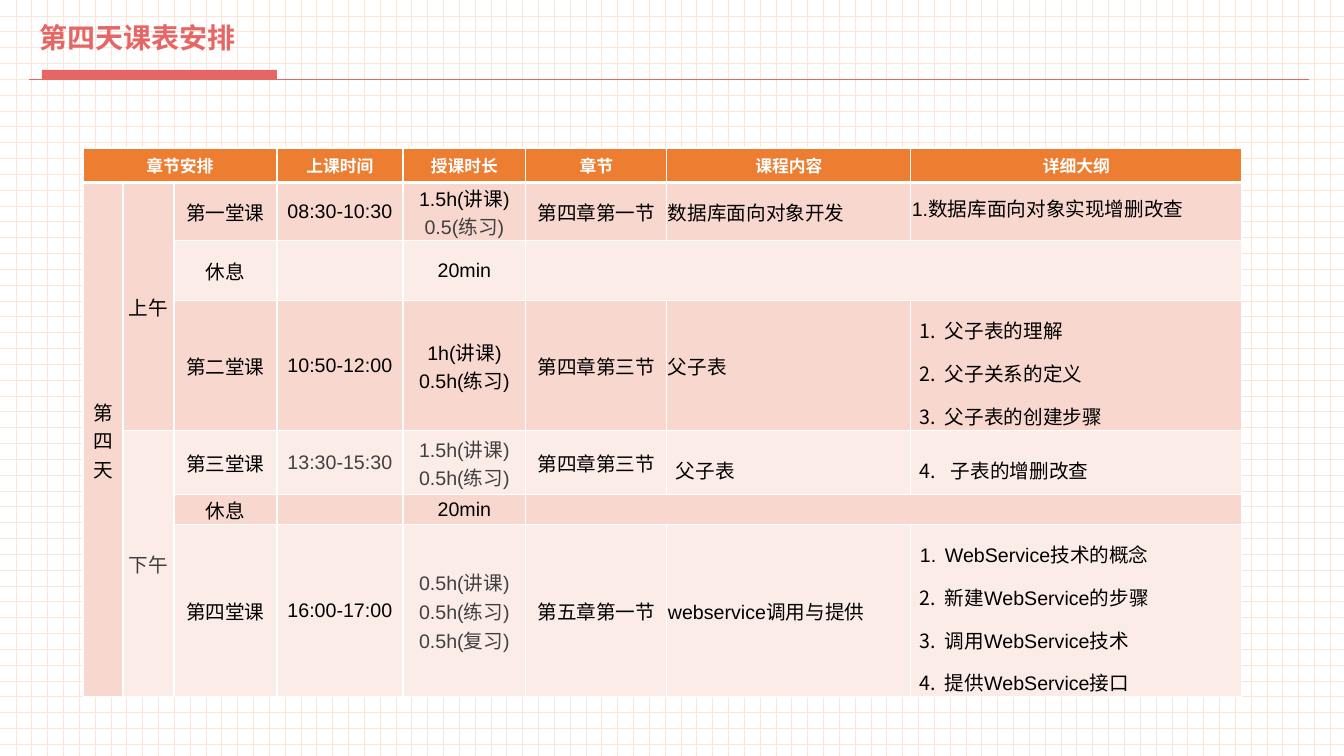
"""Build the day-four timetable slide."""
from lxml.etree import SubElement
from pptx import Presentation
from pptx.dml.color import RGBColor
from pptx.enum.dml import MSO_PATTERN
from pptx.enum.shapes import MSO_CONNECTOR, MSO_SHAPE
from pptx.enum.text import MSO_ANCHOR, PP_ALIGN
from pptx.oxml import parse_xml
from pptx.oxml.ns import nsdecls, qn
from pptx.util import Pt

PX = 914400 / 100.8
THEME = {
    "accent": RGBColor.from_string("E66666"),
    "grid": RGBColor.from_string("FBE5D6"),
    "white": RGBColor.from_string("FFFFFF"),
    "header": RGBColor.from_string("ED7D31"),
    "bands": [RGBColor.from_string("FCECE8"), RGBColor.from_string("F8D7CE")],
    "ink": RGBColor.from_string("000000"),
    "muted": RGBColor.from_string("404040"),
    "latin": "Arial",
    "cjk": "Noto Sans CJK SC",
    "title_size": Pt(20),
    "header_size": Pt(12),
    "body_size": Pt(14),
}


def px(*lengths):
    """Turn pixel lengths into EMU."""
    return [round(length * PX) for length in lengths]


def write(paragraph, text, **font_format):
    """Add a run in the given font format with the CJK typeface."""
    run = paragraph.add_run()
    run.text = text
    for attribute, value in font_format.items():
        if attribute == "color":
            run.font.color.rgb = value
        else:
            setattr(run.font, attribute, value)
    SubElement(run.font._element, qn("a:ea"), typeface=THEME["cjk"])


deck = Presentation()
deck.slide_width, deck.slide_height = px(1344, 756)
slide = deck.slides.add_slide(deck.slide_layouts[5])
backdrop = slide.background.fill
backdrop.patterned()
backdrop.pattern = MSO_PATTERN.DOTTED_GRID
backdrop.fore_color.rgb = THEME["grid"]
backdrop.back_color.rgb = THEME["white"]

rule = slide.shapes.add_connector(MSO_CONNECTOR.STRAIGHT, *px(29, 79, 1309, 79))
rule.line.color.rgb = THEME["accent"]
rule.line.width = Pt(0.5)
SubElement(rule._element.spPr, qn("a:effectLst"))

underline = slide.shapes.add_shape(MSO_SHAPE.RECTANGLE, *px(42, 70, 235, 10))
underline.shadow.inherit = False
underline.fill.solid()
underline.fill.fore_color.rgb = THEME["accent"]
underline.line.fill.background()

title = slide.shapes.title
title.left, title.top, title.width, title.height = px(29, 19, 1058, 58)
title.text_frame.vertical_anchor = MSO_ANCHOR.TOP
title.text_frame.word_wrap = True
heading = title.text_frame.paragraphs[0]
heading.alignment = PP_ALIGN.LEFT
heading.line_spacing = 0.9
write(heading, "第四天课表安排", name=THEME["cjk"], size=THEME["title_size"],
      bold=True, color=THEME["accent"])

COLUMNS = [40, 51, 103, 126, 123, 141, 244, 331]
ROWS = [34, 58, 60, 130, 64, 29, 172]
CONTENT, OUTLINE = 6, 7
TIMETABLE = [
    ["章节安排", "", "", "上课时间", "授课时长", "章节", "课程内容", "详细大纲"],
    ["第四天", "上午", "第一堂课", "08:30-10:30", "1.5h(讲课)\n0.5(练习)",
     "第四章第一节", "数据库面向对象开发", "1.数据库面向对象实现增删改查"],
    ["", "", "休息", "", "20min", "", "", ""],
    ["", "", "第二堂课", "10:50-12:00", "1h(讲课)\n0.5h(练习)",
     "第四章第三节", "父子表", "父子表的理解\n父子关系的定义\n父子表的创建步骤"],
    ["", "下午", "第三堂课", "13:30-15:30", "1.5h(讲课)\n0.5h(练习)",
     "第四章第三节", "父子表", "子表的增删改查"],
    ["", "", "休息", "", "20min", "", "", ""],
    ["", "", "第四堂课", "16:00-17:00", "0.5h(讲课)\n0.5h(练习)\n0.5h(复习)",
     "第五章第一节", "webservice调用与提供",
     "WebService技术的概念\n新建WebService的步骤\n调用WebService技术\n提供WebService接口"],
]
MERGES = [(0, 0, 0, 2), (1, 0, 6, 0), (1, 1, 3, 1), (4, 1, 6, 1),
          (2, 5, 2, 7), (5, 5, 5, 7)]
MUTED = {(1, 4, 1), (4, 1, 0), (4, 3, 0), (4, 4, 0), (4, 4, 1),
         (6, 4, 0), (6, 4, 1), (6, 4, 2)}
NUMBERED = {3: (33, -25, 1), 4: (39, -31, 4), 6: (33, -25, 1)}

timetable = slide.shapes.add_table(
    len(ROWS), len(COLUMNS), *px(83, 148, sum(COLUMNS), sum(ROWS))).table
for column, width in zip(timetable.columns, px(*COLUMNS)):
    column.width = width
for row, height in zip(timetable.rows, px(*ROWS)):
    row.height = height
for top, left, bottom, right in MERGES:
    timetable.cell(top, left).merge(timetable.cell(bottom, right))

for r, entries in enumerate(TIMETABLE):
    for c, entry in enumerate(entries):
        cell = timetable.cell(r, c)
        cell.vertical_anchor = MSO_ANCHOR.MIDDLE
        cell.fill.solid()
        cell.fill.fore_color.rgb = THEME["bands"][r % 2] if r else THEME["header"]
        if r:
            (cell.margin_left, cell.margin_top,
             cell.margin_right, cell.margin_bottom) = px(1, 1, 1, 0)
        widths = {"lnL": 1, "lnR": 1, "lnT": 3 if r == 1 else 1, "lnB": 1 if r else 3}
        for position, (side, points) in enumerate(widths.items()):
            cell._tc.get_or_add_tcPr().insert(position, parse_xml(
                f'<a:{side} {nsdecls("a")} w="{Pt(points)}"><a:solidFill>'
                f'<a:srgbClr val="{THEME["white"]}"/></a:solidFill></a:{side}>'))
        size = THEME["body_size"] if r else THEME["header_size"]
        for p, line in enumerate(entry.split("\n")):
            frame = cell.text_frame
            paragraph = frame.add_paragraph() if p else frame.paragraphs[0]
            if not line:
                SubElement(paragraph._p, qn("a:endParaRPr"), sz=str(int(size.pt * 100)))
                continue
            centred = r == 0 or c < CONTENT
            paragraph.alignment = PP_ALIGN.CENTER if centred else PP_ALIGN.LEFT
            properties = paragraph._p.get_or_add_pPr()
            if c == OUTLINE and r == 1:
                paragraph.line_spacing = Pt(14)
            elif c == OUTLINE and r in NUMBERED:
                margin, hanging, start = NUMBERED[r]
                paragraph.line_spacing = 1.5
                properties.set("marL", str(px(margin)[0]))
                properties.set("indent", str(px(hanging)[0]))
                SubElement(properties, qn("a:buAutoNum"), type="arabicPeriod",
                           startAt=str(start))
            elif c == CONTENT and r == 4:
                paragraph.line_spacing = 1.5
                properties.set("marL", str(px(8)[0]))
            ink = THEME["muted"] if (r, c, p) in MUTED else THEME["ink"]
            write(paragraph, line, name=THEME["latin"], size=size, bold=r == 0,
                  color=ink if r else THEME["white"])

deck.save("out.pptx")
